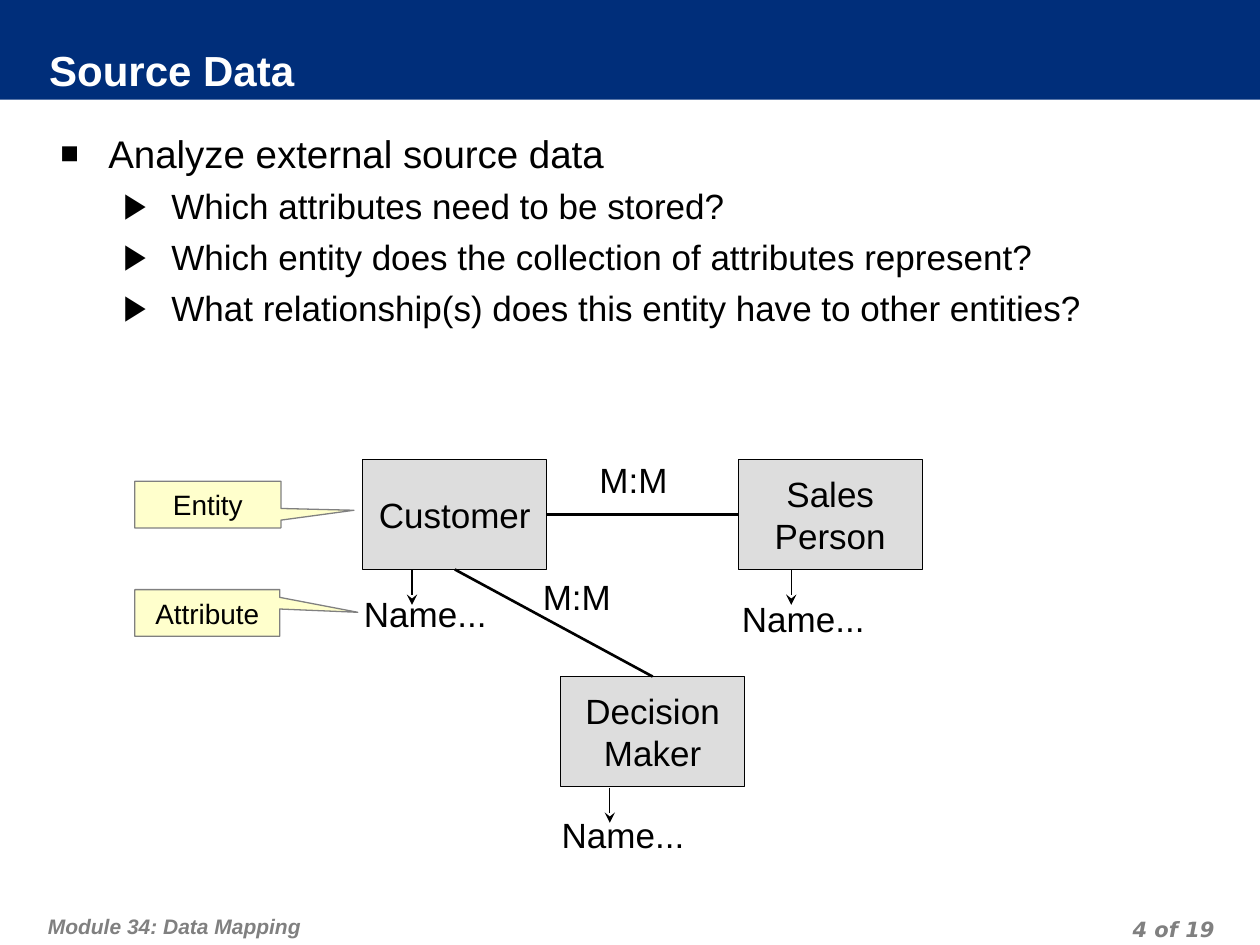
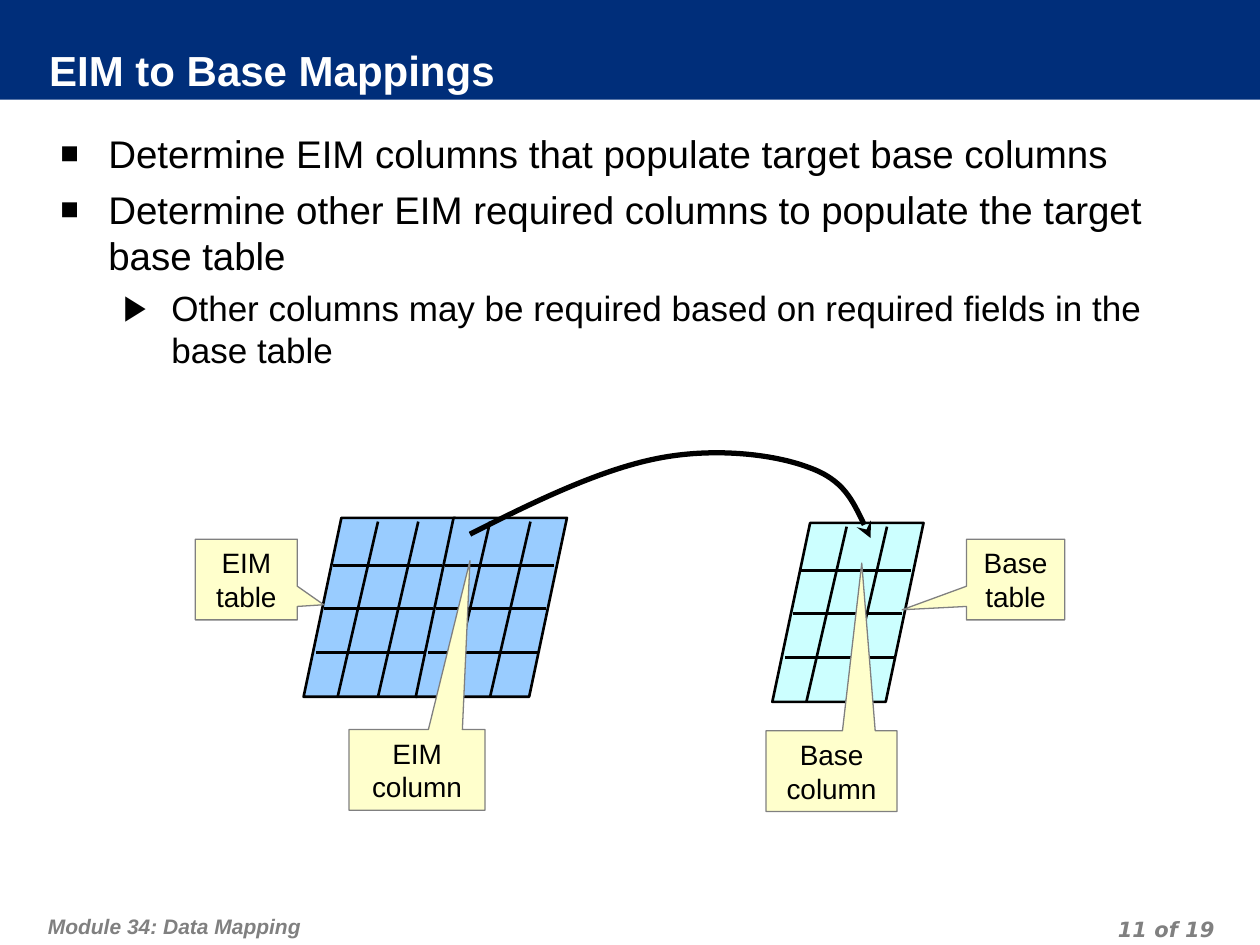
from lxml import etree
from pptx import Presentation
from pptx.dml.color import RGBColor
from pptx.enum.shapes import MSO_CONNECTOR, MSO_SHAPE
from pptx.enum.text import MSO_ANCHOR, MSO_AUTO_SIZE, PP_ALIGN
from pptx.oxml.ns import qn
from pptx.util import Inches, Pt

NAVY = RGBColor(0x00, 0x2E, 0x7A)
WHITE = RGBColor(0xFF, 0xFF, 0xFF)
BLACK = RGBColor(0x00, 0x00, 0x00)
GRAY = RGBColor(0x80, 0x80, 0x80)
ENTITY_FILL = RGBColor(0xDD, 0xDD, 0xDD)
CALLOUT_FILL = RGBColor(0xFF, 0xFF, 0xCC)
EIM_BLUE = RGBColor(0x99, 0xCC, 0xFF)
BASE_CYAN = RGBColor(0xCC, 0xFF, 0xFF)

FONT = "Arial"
NUMBER_FONT = "DejaVu Sans"
FOOTER = "Module 34: Data Mapping"
PAGE_COUNT = 19

RECT = MSO_SHAPE.RECTANGLE
CALLOUT = MSO_SHAPE.RECTANGULAR_CALLOUT
PARALLELOGRAM = MSO_SHAPE.PARALLELOGRAM
STRAIGHT = MSO_CONNECTOR.STRAIGHT
LEFT, CENTER, RIGHT = PP_ALIGN.LEFT, PP_ALIGN.CENTER, PP_ALIGN.RIGHT
TOP, MIDDLE = MSO_ANCHOR.TOP, MSO_ANCHOR.MIDDLE
NO_FIT = MSO_AUTO_SIZE.NONE

SIDE_TOP, SIDE_LEFT, SIDE_BOTTOM, SIDE_RIGHT = range(4)

# per list level: bullet, bullet size %, text indent, font size, space before
LEVELS = [("■", 80, 0.38, 22, 5.5), ("▶", 100, 0.88, 20, 5)]
HANGING = 0.38

# grid lines inside a table block, relative to its top left corner
BLOCK_LINES = [
    (0.59, 0.03, 0.27, 1.42), (0.91, 0.03, 0.59, 1.42),
    (0.23, 0.38, 1.10, 0.38), (0.16, 0.72, 1.03, 0.72), (0.10, 1.07, 0.97, 1.07),
]


def add_stealth_head(sp):
    ln = sp._element.spPr.find(qn("a:ln"))
    etree.SubElement(ln, qn("a:tailEnd"), type="stealth")


def set_bullet(p, char, percent, indent):
    pPr = p._p.get_or_add_pPr()
    pPr.set("marL", str(Inches(indent)))
    pPr.set("indent", str(-Inches(HANGING)))
    color = etree.SubElement(pPr, qn("a:buClr"))
    etree.SubElement(color, qn("a:srgbClr"), val=str(BLACK))
    etree.SubElement(pPr, qn("a:buSzPct"), val=str(percent * 1000))
    etree.SubElement(pPr, qn("a:buFont"), typeface=FONT)
    etree.SubElement(pPr, qn("a:buChar"), char=char)


class Deck:
    def __init__(self):
        self.prs = Presentation()
        self.prs.slide_width = Inches(10)
        self.prs.slide_height = Inches(7.5)
        self.s = None

    def new_slide(self, title, number, items):
        """Start a slide with band, title, footers and a list of (level, text)."""
        self.s = self.prs.slides.add_slide(self.prs.slide_layouts[1])
        band = self.shape(RECT, 0, 0, 10, 0.79, NAVY)
        self.s.shapes._spTree.insert(2, band._element)
        self.title(title)
        self.body(items)
        self.footer(FOOTER, 0.33, 7.1, 6.18, 0.4, LEFT, FONT, (0.05, 0.1, 0.05, 0.05))
        self.footer(f"{number} of {PAGE_COUNT}", 7.36, 7.22, 2.33, 0.25, RIGHT,
                    NUMBER_FONT, (0.05, 0, 0.05, 0))

    def place(self, sp, x, y, w, h):
        sp.left, sp.top, sp.width, sp.height = map(Inches, (x, y, w, h))

    def frame(self, sp, anchor=TOP, insets=(0.1, 0.05, 0.1, 0.05), wrap=True):
        tf = sp.text_frame
        tf.auto_size = NO_FIT
        tf.word_wrap = wrap
        tf.vertical_anchor = anchor
        (tf.margin_left, tf.margin_top,
         tf.margin_right, tf.margin_bottom) = map(Inches, insets)
        return tf

    def run(self, p, text, size, color=BLACK, font=FONT, bold=False, italic=False):
        r = p.add_run()
        r.text = text
        r.font.name = font
        r.font.size = Pt(size)
        r.font.color.rgb = color
        r.font.bold = bold
        r.font.italic = italic

    def lines(self, tf, text, size, align=LEFT):
        for i, line in enumerate(text.split("\n")):
            p = tf.add_paragraph() if i else tf.paragraphs[0]
            p.alignment = align
            self.run(p, line, size)

    def title(self, text):
        sp = self.s.shapes.title
        self.place(sp, 0.39, 0.38, 9.17, 0.4)
        sp.fill.solid()
        sp.fill.fore_color.rgb = NAVY
        p = self.frame(sp, MIDDLE, (0, 0, 0.05, 0.05)).paragraphs[0]
        p.alignment = LEFT
        self.run(p, text, 24, WHITE, bold=True)

    def body(self, items):
        sp = self.s.placeholders[1]
        self.place(sp, 0.38, 0.93, 9.3, 6.18)
        tf = self.frame(sp, TOP, (0.1, 0.1, 0.1, 0.05))
        for i, (level, text) in enumerate(items):
            char, percent, indent, size, space = LEVELS[level]
            p = tf.add_paragraph() if i else tf.paragraphs[0]
            p.level = level
            p.space_before = Pt(space)
            set_bullet(p, char, percent, indent)
            self.run(p, text, size)

    def footer(self, text, x, y, w, h, align, font, insets):
        sp = self.s.shapes.add_textbox(*map(Inches, (x, y, w, h)))
        p = self.frame(sp, TOP, insets).paragraphs[0]
        p.alignment = align
        p.line_spacing = Pt(18)
        p.space_before = Pt(6)
        self.run(p, text, 12, GRAY, font, bold=True, italic=True)

    def shape(self, kind, x, y, w, h, fill, line=None, width=0.75):
        sp = self.s.shapes.add_shape(kind, *map(Inches, (x, y, w, h)))
        sp.shadow.inherit = False
        sp.fill.solid()
        sp.fill.fore_color.rgb = fill
        if line is None:
            sp.line.fill.background()
        else:
            sp.line.color.rgb = line
            sp.line.width = Pt(width)
        return sp

    def entity(self, text, x, y):
        sp = self.shape(RECT, x, y, 1.46, 0.87, ENTITY_FILL, BLACK)
        self.lines(self.frame(sp, MIDDLE, wrap=False), text, 20, CENTER)
        return sp

    def label(self, text, x, y, w):
        sp = self.s.shapes.add_textbox(*map(Inches, (x, y, w, 0.44)))
        self.lines(self.frame(sp, wrap=False), text, 20)

    def callout(self, text, x, y, w, h, tip_x, tip_y):
        sp = self.shape(CALLOUT, x, y, w, h, CALLOUT_FILL, GRAY)
        sp.adjustments[0] = (tip_x - x) / w - 0.5
        sp.adjustments[1] = (tip_y - y) / h - 0.5
        self.lines(self.frame(sp, MIDDLE), text, 16, CENTER)

    def line(self, x1, y1, x2, y2, width=1.5):
        sp = self.s.shapes.add_connector(STRAIGHT, *map(Inches, (x1, y1, x2, y2)))
        sp.line.color.rgb = BLACK
        sp.line.width = Pt(width)
        etree.SubElement(sp._element.spPr, qn("a:effectLst"))
        return sp

    def relation(self, start, start_side, end, end_side):
        sp = self.line(0, 0, 1, 1)
        sp.begin_connect(start, start_side)
        sp.end_connect(end, end_side)

    def attribute_arrow(self, x, y):
        add_stealth_head(self.line(x, y, x, y + 0.28, 0.75))

    def table_block(self, x, y, fill):
        """Draw a slanted block of three columns and four rows."""
        sp = self.shape(PARALLELOGRAM, x, y, 1.2, 1.42, fill, BLACK, 1.5)
        sp.adjustments[0] = 0.25
        for x1, y1, x2, y2 in BLOCK_LINES:
            self.line(x + x1, y + y1, x + x2, y + y2)

    def curved_arrow(self, start, points):
        """Draw a Bezier arrow; points come in threes, two controls and an end."""
        builder = self.s.shapes.build_freeform(*map(Inches, start), scale=1.0)
        builder.add_line_segments([tuple(map(Inches, pt)) for pt in points], close=False)
        sp = builder.convert_to_shape()
        sp.shadow.inherit = False
        sp.fill.background()
        sp.line.color.rgb = BLACK
        sp.line.width = Pt(3)
        add_stealth_head(sp)
        segments = list(sp._element.iter(qn("a:lnTo")))
        outline = segments[0].getparent()
        for i in range(0, len(segments), 3):
            curve = etree.SubElement(outline, qn("a:cubicBezTo"))
            for segment in segments[i:i + 3]:
                curve.append(segment[0])
                outline.remove(segment)


def source_data(deck):
    deck.new_slide("Source Data", 4, [
        (0, "Analyze external source data"),
        (1, "Which attributes need to be stored?"),
        (1, "Which entity does the collection of attributes represent?"),
        (1, "What relationship(s) does this entity have to other entities?"),
    ])
    customer = deck.entity("Customer", 2.88, 3.65)
    decision_maker = deck.entity("Decision\nMaker", 4.45, 5.37)
    sales_person = deck.entity("Sales\nPerson", 5.86, 3.65)
    for x, y in [(2.79, 4.65), (4.36, 6.41), (5.79, 4.69)]:
        deck.label("Name...", x, y, 1.17)
    deck.callout("Entity", 1.07, 3.82, 1.16, 0.37, 2.81, 4.05)
    deck.callout("Attribute", 1.07, 4.68, 1.15, 0.37, 2.84, 4.86)
    deck.relation(customer, SIDE_RIGHT, sales_person, SIDE_LEFT)
    deck.relation(customer, SIDE_BOTTOM, decision_maker, SIDE_TOP)
    for x, y in [(4.66, 3.59), (4.21, 4.52)]:
        deck.label("M:M", x, y, 0.74)
    for x, y in [(3.27, 4.52), (4.84, 6.25), (6.28, 4.52)]:
        deck.attribute_arrow(x, y)


def eim_to_base(deck):
    deck.new_slide("EIM to Base Mappings", 11, [
        (0, "Determine EIM columns that populate target base columns"),
        (0, "Determine other EIM required columns to populate the target base table"),
        (1, "Other columns may be required based on required fields in the base table"),
    ])
    for x, y, fill in [(6.13, 4.15, BASE_CYAN), (2.41, 4.11, EIM_BLUE),
                       (3.3, 4.11, EIM_BLUE)]:
        deck.table_block(x, y, fill)
    deck.curved_arrow((3.73, 4.24), [
        (4.24, 3.98), (4.76, 3.73), (5.21, 3.64),
        (5.65, 3.55), (6.13, 3.6), (6.42, 3.71),
        (6.7, 3.81), (6.8, 4.04), (6.91, 4.27),
    ])
    for text, x, y, w, tip_x, tip_y in [
        ("EIM table", 1.55, 4.28, 0.81, 2.57, 4.8),
        ("Base table", 7.67, 4.28, 0.78, 7.16, 4.84),
        ("EIM column", 2.77, 5.79, 1.08, 3.73, 4.45),
        ("Base column", 6.08, 5.8, 1.04, 6.84, 4.47),
    ]:
        deck.callout(text, x, y, w, 0.64, tip_x, tip_y)


def main():
    deck = Deck()
    source_data(deck)
    eim_to_base(deck)
    deck.prs.save("out.pptx")


if __name__ == "__main__":
    main()
